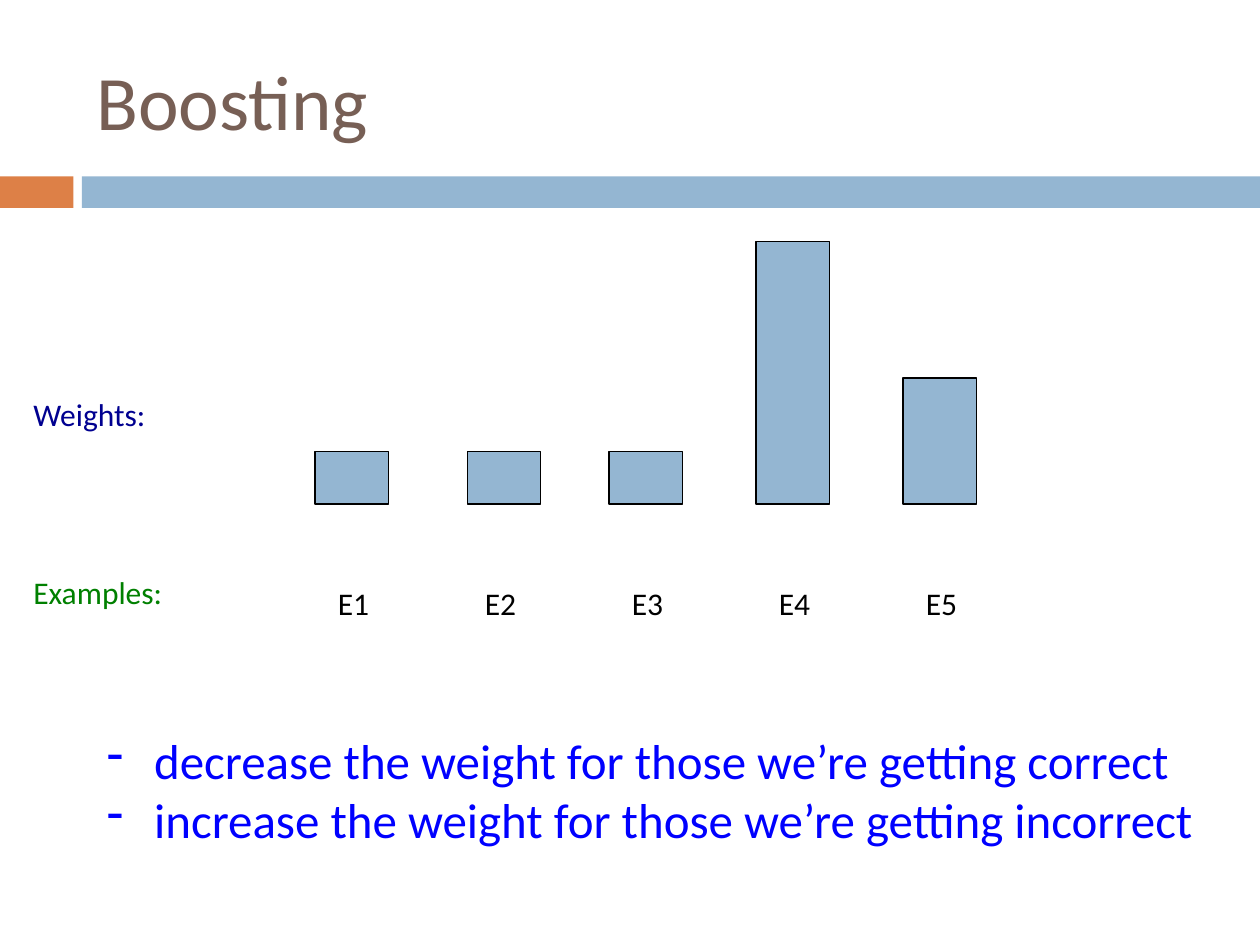
from pptx import Presentation
from pptx.dml.color import RGBColor
from pptx.enum.shapes import MSO_SHAPE
from pptx.enum.text import MSO_ANCHOR
from pptx.oxml.ns import qn
from pptx.util import Pt
from lxml.etree import SubElement

BLUE = RGBColor(0x94, 0xB6, 0xD2)
ORANGE = RGBColor(0xDD, 0x80, 0x47)
BROWN = RGBColor(0x77, 0x5F, 0x55)
BLACK = RGBColor(0, 0, 0)
GREEN = RGBColor(0, 0x80, 0)
NAVY = RGBColor(0, 0, 0x90)
BRIGHT = RGBColor(0, 0, 0xFF)

BANDS = [(0, 42, ORANGE), (46.8, 673.2, BLUE)]
BARS = [("E1", 180, 30), ("E2", 267, 30), ("E3", 348, 30),
        ("E4", 432, 150), ("E5", 516, 72)]
HEADS = [("Weights:", 222, NAVY), ("Examples:", 324, GREEN)]
NOTES = ["decrease the weight for those we’re getting correct",
         "increase the weight for those we’re getting incorrect"]

BASE = 288
WIDE = 42
STEP = 84

deck = Presentation()
deck.slide_width, deck.slide_height = Pt(720), Pt(540)
slide = deck.slides.add_slide(deck.slide_layouts[6])


def add_rect(left, top, width, height, color, edge=None):
    rect = slide.shapes.add_shape(
        MSO_SHAPE.RECTANGLE, Pt(left), Pt(top), Pt(width), Pt(height))
    rect.shadow.inherit = False
    rect.fill.solid()
    rect.fill.fore_color.rgb = color
    if edge is None:
        rect.line.fill.background()
    else:
        rect.line.color.rgb = edge
        rect.line.width = Pt(0.75)


def add_dash(para):
    props = para._p.get_or_add_pPr()
    props.set("marL", str(Pt(27)))
    props.set("indent", str(-Pt(27)))
    SubElement(props, qn("a:buChar")).set("char", "-")


def add_text(lines, left, top, width, height, size, color,
             dash=False, anchor=MSO_ANCHOR.TOP):
    box = slide.shapes.add_textbox(Pt(left), Pt(top), Pt(width), Pt(height))
    frame = box.text_frame
    frame.word_wrap = True
    frame.vertical_anchor = anchor
    frame.text = "\n".join(lines)
    form = {"name": "Calibri", "size": Pt(size)}
    for para in frame.paragraphs:
        if dash:
            add_dash(para)
        font = para.runs[0].font
        for key, value in form.items():
            setattr(font, key, value)
        font.color.rgb = color


for left, width, color in BANDS:
    add_rect(left, 100.8, width, 18, color)

add_text(["Boosting"], 48, 18, 642, 78, 44, BROWN, anchor=MSO_ANCHOR.MIDDLE)

for col, (name, left, tall) in enumerate(BARS):
    add_rect(left, BASE - tall, WIDE, tall, BLUE, BLACK)
    add_text([name], 186 + col * STEP, 330, 78, 35, 18, BLACK)

for text, top, color in HEADS:
    add_text([text], 12, top, 144, 35, 18, color)

add_text(NOTES, 54, 414, 652, 75, 28, BRIGHT, dash=True)

deck.save("out.pptx")
